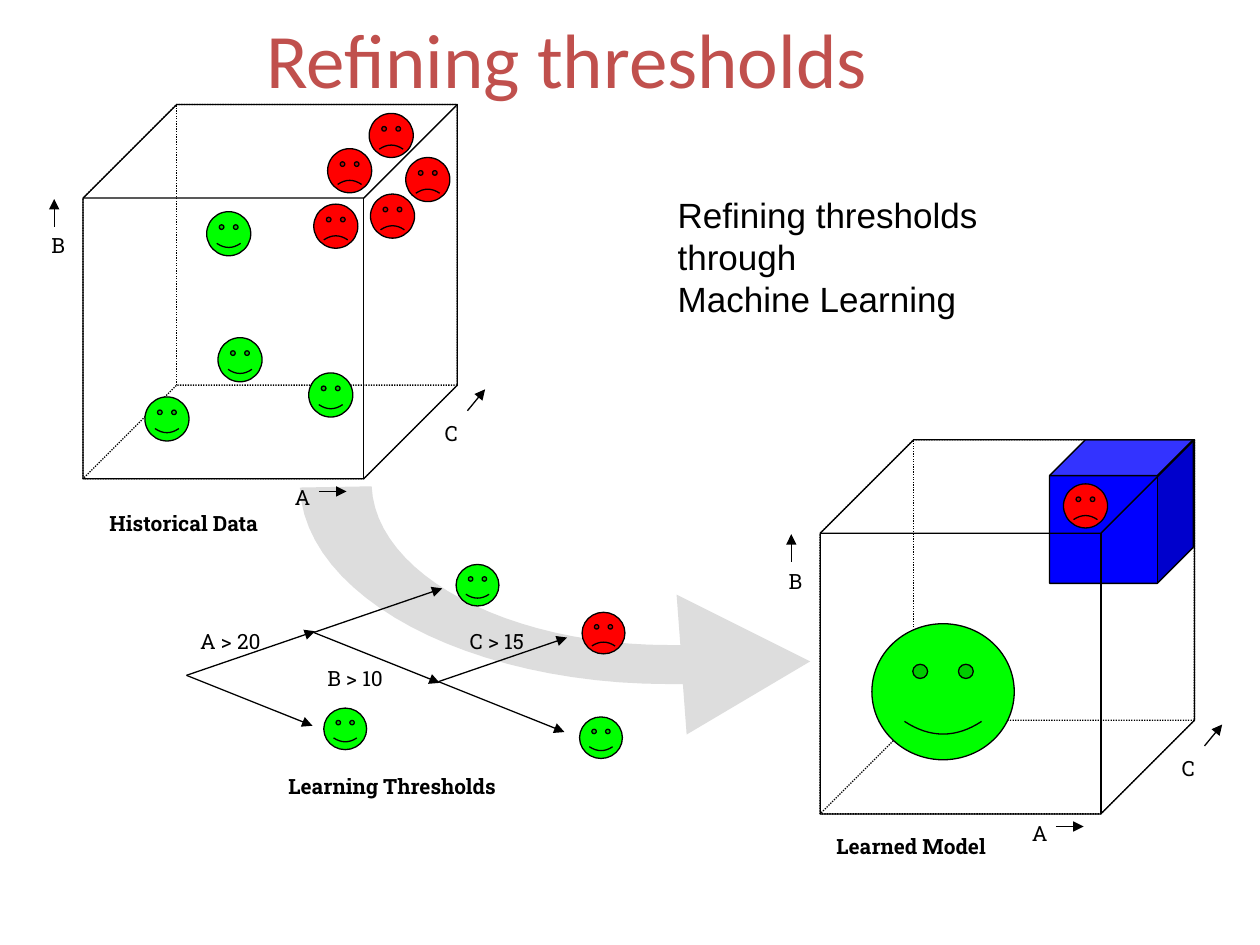
import pptx
import pptx.util
import pptx.dml.color
import pptx.enum.dml
import pptx.enum.shapes
import pptx.enum.text
import pptx.oxml.ns
from lxml import etree

SHAPE = pptx.enum.shapes.MSO_SHAPE
CELL = pptx.util.Inches(0.1)  # the slide is a grid of 100 columns by 75 rows
CUBE = 29.7
FACE = 3.5
GREEN, RED, BLUE, BLACK = "00FF00", "FF0000", "0000FF", "000000"


def cells(*values):
    return [round(v * CELL) for v in values]


def color(hex_text):
    return pptx.dml.color.RGBColor.from_string(hex_text)


def add_shape(s, kind, x, y, w, h, fill=None, dash=None):
    sp = s.shapes.add_shape(kind, *cells(x, y, w, h))
    sp.shadow.inherit = False
    if fill:
        sp.fill.solid()
        sp.fill.fore_color.rgb = color(fill)
    else:
        sp.fill.background()
    sp.line.color.rgb = color(BLACK)
    sp.line.width = pptx.util.Pt(0.75)
    if dash:
        sp.line.dash_style = dash
    return sp


def add_face(s, x, y, happy=True, w=FACE, h=FACE):
    sp = add_shape(s, SHAPE.SMILEY_FACE, x, y, w, h, GREEN if happy else RED)
    if not happy:
        sp.adjustments[0] = -0.05


def add_text(s, text, x, y, w, h=3, size=12, font="Roboto Slab", fill=BLACK,
             bold=False, wrap=False, align=None, anchor=None):
    sp = s.shapes.add_textbox(*cells(x, y, w, h))
    tf = sp.text_frame
    tf.word_wrap = wrap
    if anchor is not None:
        tf.vertical_anchor = anchor
    tf.text = text
    for p in tf.paragraphs:
        p.alignment = align
        for r in p.runs:
            r.font.size = pptx.util.Pt(size)
            r.font.name = font
            r.font.bold = bold
            r.font.color.rgb = color(fill)


def add_arrow(s, x, y, dx, dy):
    cx = s.shapes.add_connector(pptx.enum.shapes.MSO_CONNECTOR.STRAIGHT,
                                *cells(x, y, x + dx, y + dy))
    cx.line.color.rgb = color(BLACK)
    cx.line.width = pptx.util.Pt(0.75)
    qn = pptx.oxml.ns.qn
    etree.SubElement(cx.line._get_or_add_ln(), qn("a:tailEnd"), type="triangle")
    etree.SubElement(cx._element.spPr, qn("a:effectLst"))


def add_hidden_edges(s, x, y):
    """Draw the dotted rear edges as a cube turned half round."""
    sp = add_shape(s, SHAPE.CUBE, x, y, CUBE, CUBE,
                   dash=pptx.enum.dml.MSO_LINE.ROUND_DOT)
    xfrm = sp._element.spPr.find(pptx.oxml.ns.qn("a:xfrm"))
    xfrm.set("flipH", "1")
    xfrm.set("flipV", "1")


def add_front_edges(s, x, y):
    """Draw the solid cube with its three labelled axes."""
    add_shape(s, SHAPE.CUBE, x, y, CUBE, CUBE)
    for name, left, top in (("A", 15.8, 29.7), ("B", -3.5, 9.7), ("C", 27.7, 24.6)):
        add_text(s, name, x + left, y + top, 3.2)
    for left, top, dx, dy in ((18.7, 30.7, 2.2, 0), (-2.3, 9.7, 0, -2.2),
                              (30.5, 24.3, 1.4, -1.7)):
        add_arrow(s, x + left, y + top, dx, dy)


def bezier(p0, p1, p2, p3, steps=24):
    """Return points along a cubic curve, without its start."""
    points = []
    for i in range(1, steps + 1):
        t = i / steps
        weights = ((1 - t) ** 3, 3 * t * (1 - t) ** 2, 3 * t * t * (1 - t), t ** 3)
        points.append(tuple(sum(k * p[axis] for k, p in zip(weights, (p0, p1, p2, p3)))
                            for axis in (0, 1)))
    return points


def add_curved_arrow(s):
    start = (54, 51.2)
    points = (bezier(start, (53.7, 51.2), (53.4, 51.2), (53.1, 51.2), 1)
              + bezier((53.1, 51.2), (40.3, 51.2), (29.8, 45.6), (29.5, 38.6))
              + [(23.8, 38.7)]
              + bezier((23.8, 38.7), (24.2, 47.4), (37.2, 54.3), (53.1, 54.3))
              + [(54.2, 54.3), (54.5, 58.3), (64.3, 52.5), (53.7, 47.2)])
    builder = s.shapes.build_freeform(*cells(*start), scale=1.0)
    builder.add_line_segments([cells(*point) for point in points], close=True)
    sp = builder.convert_to_shape()
    sp.shadow.inherit = False
    sp.fill.solid()
    sp.fill.fore_color.rgb = color("DDDDDD")
    sp.line.fill.background()


def add_tree(s):
    for text, x, y in (("A > 20", 14.9, 49.4), ("B > 10", 25, 52.3),
                       ("C > 15", 36.3, 49.4)):
        add_text(s, text, x, y, 7.4)
    for x, y in ((14.8, 53.6), (24.9, 50.2), (34.8, 54.1)):
        add_arrow(s, x, y, 10.2, -3.5)
        add_arrow(s, x, y, 10, 4)
    for x, y, happy in ((25.7, 56.2, True), (36.2, 44.8, True),
                        (46, 56.9, True), (46.2, 48.6, False)):
        add_face(s, x, y, happy, 3.4, 3.3)


def add_learned_model(s, x, y):
    add_hidden_edges(s, x, y)
    add_shape(s, SHAPE.CUBE, x + 18.2, y, 11.4, 11.4, BLUE)
    add_face(s, x + 19.3, y + 3.5, happy=False)
    add_front_edges(s, x, y)


def add_historical_data(s, x, y):
    add_hidden_edges(s, x, y)
    add_face(s, 26, 11.8, happy=False)
    add_front_edges(s, x, y)
    for left, top in ((32.2, 12.5), (24.9, 16.2), (29.4, 15.4), (29.3, 9)):
        add_face(s, left, top, happy=False)
    for left, top in ((11.5, 31.5), (17.3, 26.8), (24.5, 29.6), (16.4, 16.8)):
        add_face(s, left, top)


def main():
    prs = pptx.Presentation()
    prs.slide_width, prs.slide_height = cells(100, 75)
    s = prs.slides.add_slide(prs.slide_layouts[6])
    add_curved_arrow(s)
    add_tree(s)
    add_learned_model(s, 65.1, 34.9)
    add_historical_data(s, 6.6, 8.3)
    add_text(s, "Refining thresholds through\nMachine Learning", 52.8, 14.9, 35, 7.7,
             size=20, font="Arial", wrap=True)
    for text, x, y, w in (("Historical Data", 7.7, 40, 15.1),
                          ("Learning Thresholds", 21.9, 60.9, 19.8),
                          ("Learned Model", 65.4, 65.7, 14.7)):
        add_text(s, text, x, y, w, bold=True)
    add_face(s, 69.2, 49.5, w=11.3, h=10.8)
    add_text(s, "Refining thresholds", 2.5, -1.7, 85, 12.5, size=44, font="Calibri",
             fill="C0504D", wrap=True, align=pptx.enum.text.PP_ALIGN.CENTER,
             anchor=pptx.enum.text.MSO_ANCHOR.MIDDLE)
    prs.save("out.pptx")


if __name__ == "__main__":
    main()
